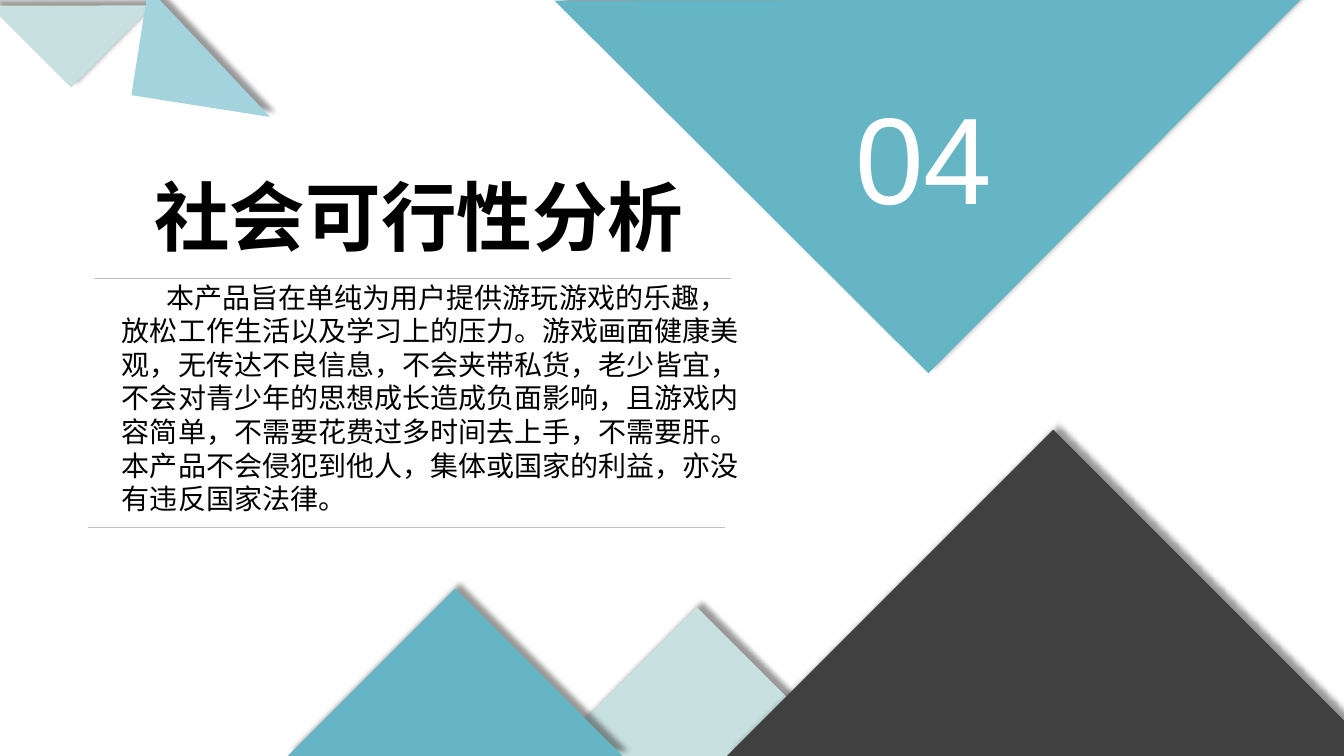
from dataclasses import dataclass

from lxml import etree
from pptx import Presentation
from pptx import util as u
from pptx.dml.color import RGBColor
from pptx.enum import shapes, text
from pptx.oxml import ns


@dataclass(frozen=True)
class Theme:
    teal: str = "66B5C4"
    sky: str = "A3D3DD"
    mist: str = "C8E0E0"
    charcoal: str = "404040"
    rule: str = "C0C0C0"
    ink: str = "000000"
    white: str = "FFFFFF"
    latin: str = "Arial"
    chinese: str = "Noto Sans CJK SC"
    title_size: int = 54
    body_size: int = 20
    number_size: int = 88


@dataclass(frozen=True)
class Box:
    """An area of the slide, in centimetres."""
    left: float
    top: float
    width: float
    height: float


THEME = Theme()
PAGE = Box(0, 0, 33.87, 19.05)
TITLE = "社会可行性分析"
BODY = (
    "本产品旨在单纯为用户提供游玩游戏的乐趣，放松工作生活以及学习上的压力。"
    "游戏画面健康美观，无传达不良信息，不会夹带私货，老少皆宜，"
    "不会对青少年的思想成长造成负面影响，且游戏内容简单，"
    "不需要花费过多时间去上手，不需要肝。"
    "本产品不会侵犯到他人，集体或国家的利益，亦没有违反国家法律。"
)


def color(value):
    return RGBColor.from_string(value)


def place(shape, left, top, width, height):
    shape.left, shape.top = u.Cm(left), u.Cm(top)
    shape.width, shape.height = u.Cm(width), u.Cm(height)


def write(shape, words, size, ink, font, bold=False, align=text.PP_ALIGN.LEFT,
          anchor=text.MSO_ANCHOR.TOP):
    """Fill a shape with one formatted paragraph and return the paragraph."""
    frame = shape.text_frame
    frame.text = words
    frame.word_wrap = True
    frame.auto_size = text.MSO_AUTO_SIZE.NONE
    frame.vertical_anchor = anchor
    paragraph = frame.paragraphs[0]
    paragraph.alignment = align
    paragraph.space_before = u.Pt(0)
    paragraph.font.name = font
    paragraph.font.size = u.Pt(size)
    paragraph.font.bold = bold
    paragraph.font.color.rgb = color(ink)
    run_properties = paragraph.runs[0].font
    run_properties.name = font
    east_asian = etree.SubElement(paragraph.runs[0]._r.rPr, ns.qn("a:ea"))
    east_asian.set("typeface", THEME.chinese)
    return paragraph


def add_shadow(shape):
    """Cast a soft shadow up and to the right, whatever the rotation."""
    shape.shadow.inherit = False
    effects = shape._element.spPr.find(ns.qn("a:effectLst"))
    shadow = etree.SubElement(
        effects, ns.qn("a:outerShdw"), blurRad=str(u.Pt(4)), dist=str(u.Pt(5)),
        dir=str(315 * 60000), algn="bl", rotWithShape="0")
    black = etree.SubElement(shadow, ns.qn("a:srgbClr"), val=THEME.ink)
    etree.SubElement(black, ns.qn("a:alpha"), val="40000")


def add_triangle(slide, center_x, center_y, width, height, rotation, fill):
    triangle = slide.shapes.add_shape(
        shapes.MSO_SHAPE.RIGHT_TRIANGLE, u.Cm(center_x - width / 2),
        u.Cm(center_y - height / 2), u.Cm(width), u.Cm(height))
    triangle.rotation = rotation
    triangle.fill.solid()
    triangle.fill.fore_color.rgb = color(fill)
    triangle.line.fill.background()
    add_shadow(triangle)


def add_rule(slide, left, top, width):
    rule = slide.shapes.add_connector(
        shapes.MSO_CONNECTOR.STRAIGHT, u.Cm(left), u.Cm(top),
        u.Cm(left + width), u.Cm(top))
    rule.line.color.rgb = color(THEME.rule)
    rule.line.width = u.Pt(0.5)
    etree.SubElement(rule._element.spPr, ns.qn("a:effectLst"))


def add_bottom_peaks(slide, box):
    """Peaks centred on the bottom edge of the box."""
    for center, side, fill in ((17.56, 5.3, THEME.mist),
                               (11.47, 5.97, THEME.teal),
                               (26.54, 11.63, THEME.charcoal)):
        add_triangle(slide, box.left + center, box.top + box.height,
                     side, side, 135, fill)


def add_top_triangles(slide, box):
    """Triangles hanging from the top edge of the box."""
    for x, y, width, height, rotation, fill in (
            (23.38, 0, 13.3, 13.3, 314.9, THEME.teal),
            (1.79, 0.14, 2.92, 2.92, 314.9, THEME.mist),
            (5.27, 1.32, 3.53, 2.74, 8.9, THEME.sky)):
        add_triangle(slide, box.left + x, box.top + y,
                     width, height, rotation, fill)


def add_section_number(slide, box, number):
    label = slide.shapes.add_textbox(0, 0, 0, 0)
    place(label, box.left, box.top, box.width, box.height)
    write(label, number, THEME.number_size, THEME.white, THEME.latin)


def fill_section_text(slide, box):
    """Title above a paragraph that is framed by two thin rules."""
    title, body = slide.placeholders
    place(title, box.left, box.top, box.width, 2.57)
    write(title, TITLE, THEME.title_size, THEME.ink, THEME.latin, bold=True,
          align=text.PP_ALIGN.CENTER, anchor=text.MSO_ANCHOR.MIDDLE)

    place(body, box.left + 1.04, box.top + 2.79, 16.46, 7)
    paragraph = write(body, BODY, THEME.body_size, THEME.ink, THEME.chinese)
    paragraph.line_spacing = u.Pt(24)
    properties = paragraph._p.get_or_add_pPr()
    properties.set("marL", "0")
    properties.set("indent", str(u.Cm(1.12)))
    etree.SubElement(properties, ns.qn("a:buNone"))
    default_run = properties.find(ns.qn("a:defRPr"))
    if default_run is not None:
        properties.append(default_run)

    add_rule(slide, box.left + 0.58, box.top + 2.87, 16.06)
    add_rule(slide, box.left + 0.43, box.top + 9.14, 16.06)


def main():
    presentation = Presentation()
    presentation.slide_width = u.Cm(PAGE.width)
    presentation.slide_height = u.Cm(PAGE.height)
    slide = presentation.slides.add_slide(presentation.slide_layouts[1])
    fill_section_text(slide, Box(1.78, 4.14, 17.55, 9.79))
    add_bottom_peaks(slide, PAGE)
    add_top_triangles(slide, PAGE)
    add_section_number(slide, Box(21.31, 1.93, 7.24, 4.01), "04")
    presentation.save("out.pptx")


if __name__ == "__main__":
    main()
